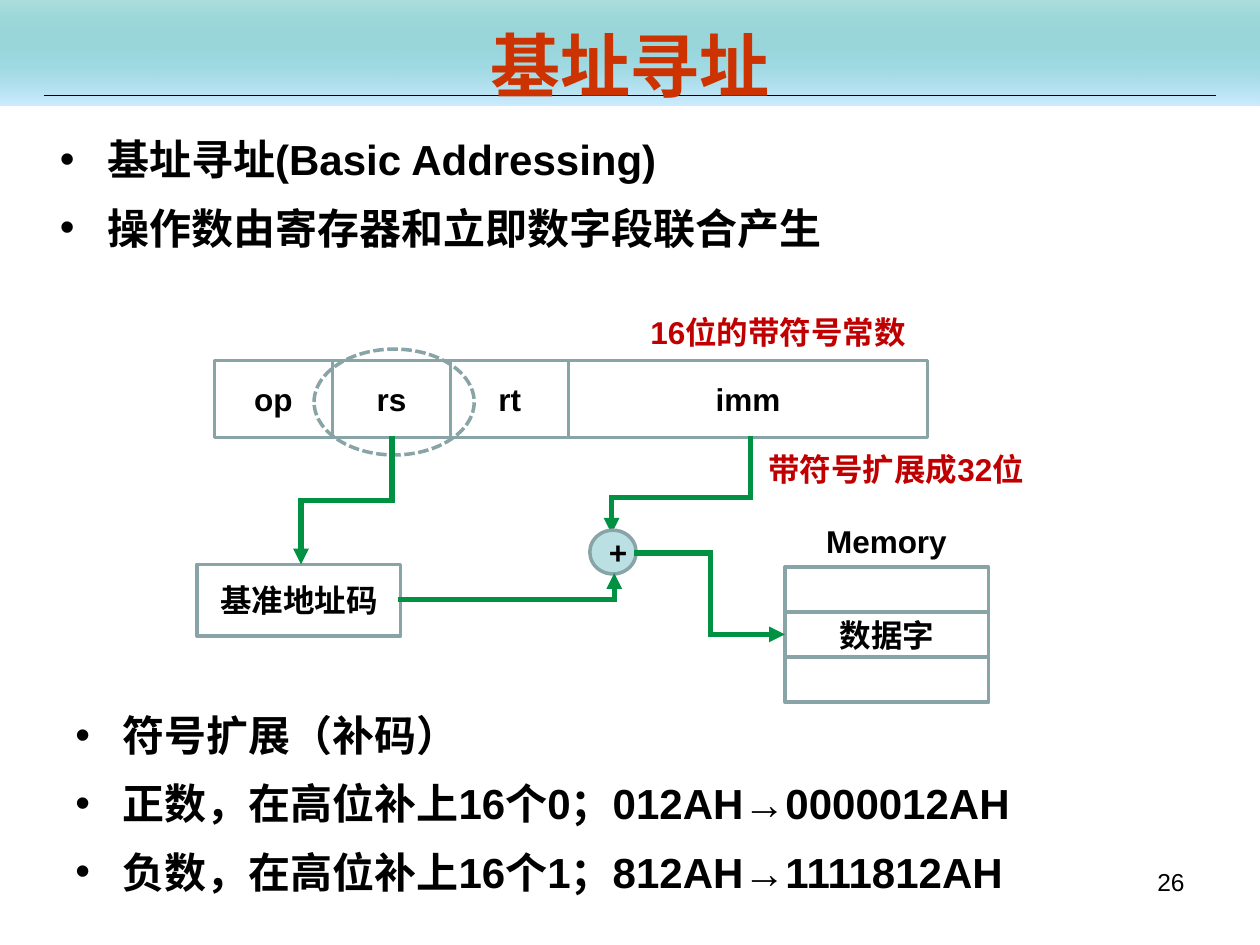
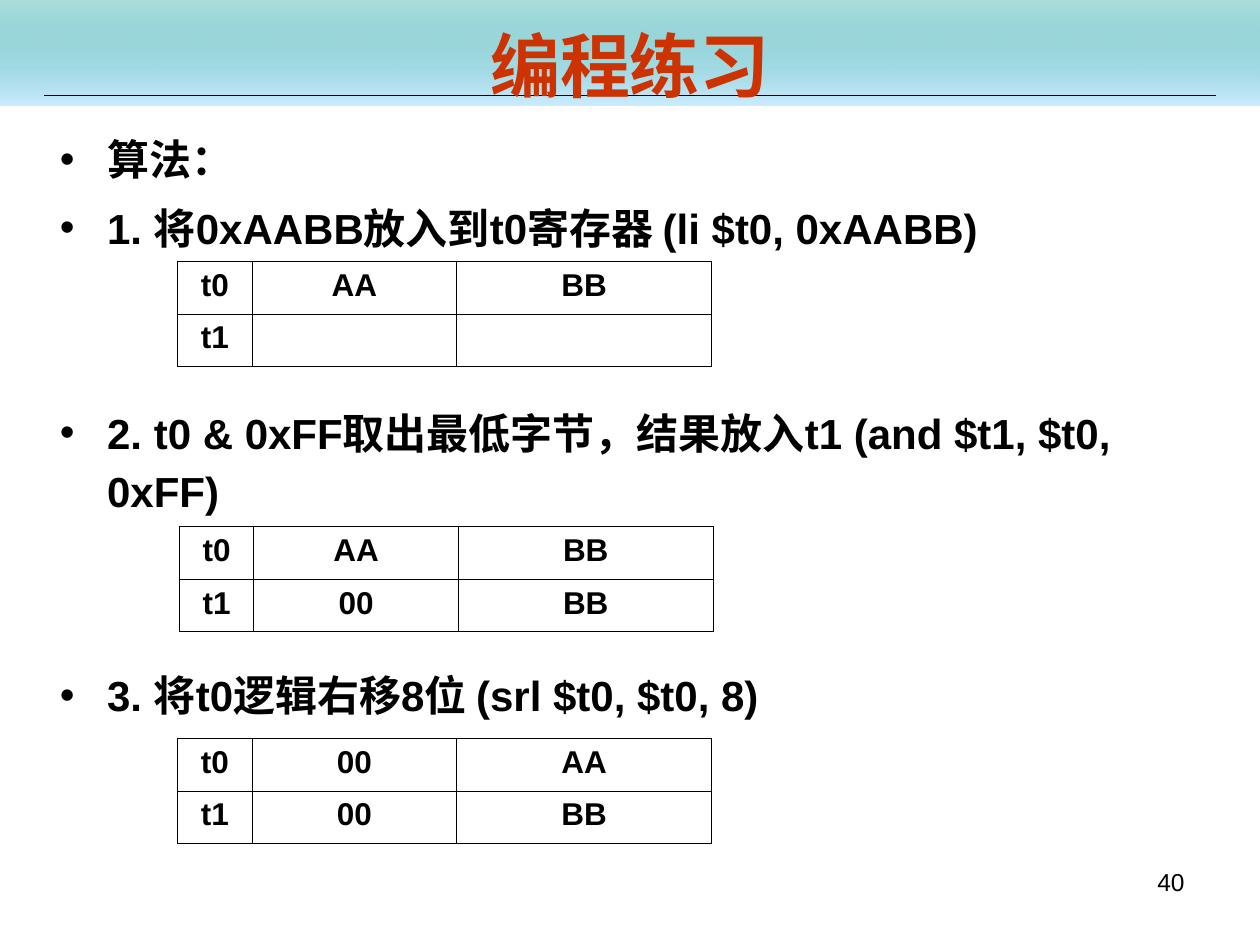
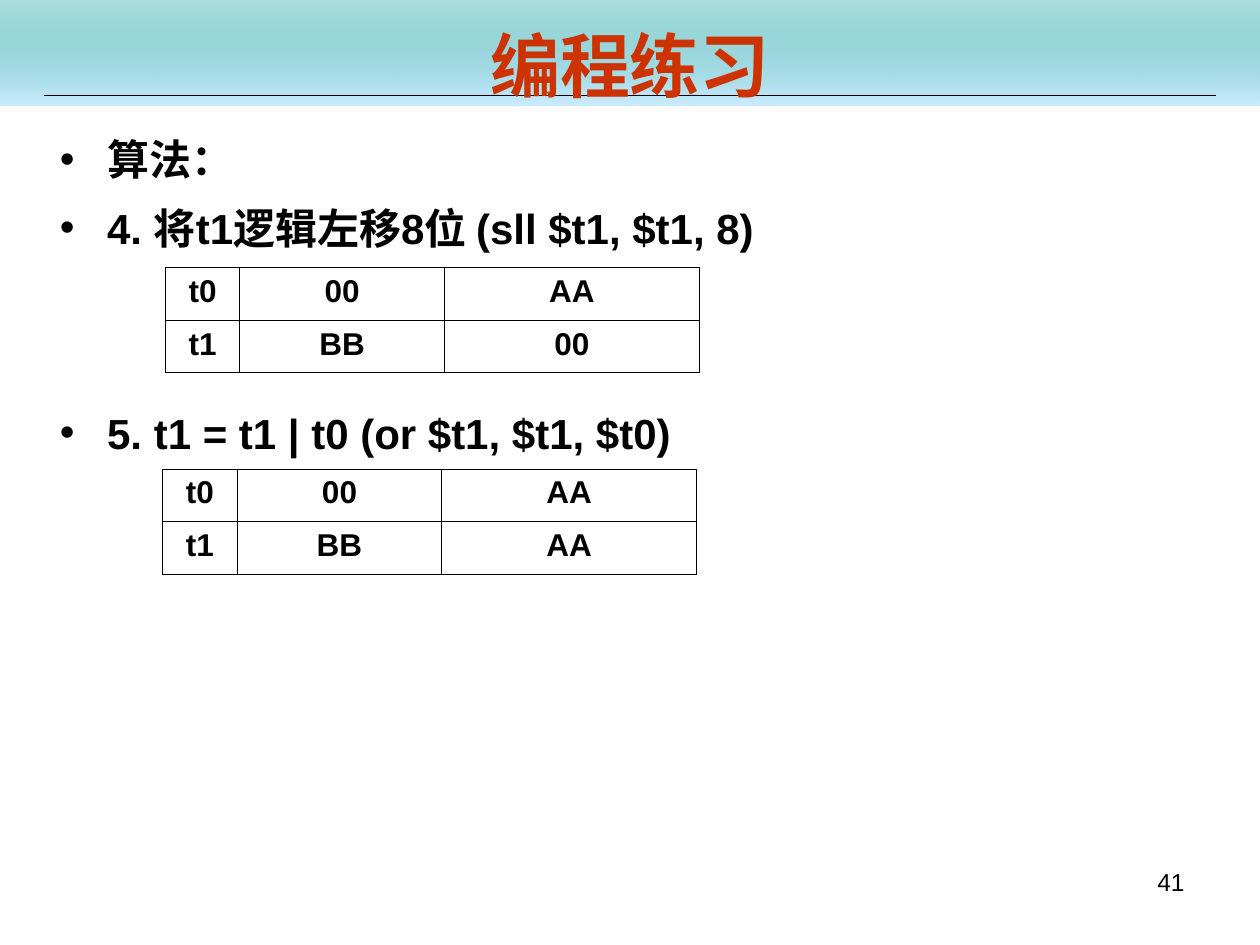
from itertools import pairwise

from pptx import Presentation
from pptx.dml.color import RGBColor
from pptx.enum.dml import MSO_LINE
from pptx.enum.shapes import MSO_CONNECTOR, MSO_SHAPE
from pptx.enum.text import MSO_ANCHOR, MSO_AUTO_SIZE, PP_ALIGN
from pptx.oxml.ns import qn
from pptx.util import Pt
from lxml.etree import SubElement

FONT = "Arial"
BLACK, TITLE_RED, NOTE_RED = "000000", "CC3300", "C00000"
OUTLINE, WIRE, ADDER = "89A4A7", "009242", "BBE0E3"
BAND_TOP, BAND_BOTTOM = "009999", "CCECFF"
LIST_GAP = 6
TABLE_GAP = 84  # space before an item that follows a table
COLUMNS, ROW_HEIGHT = (42.5, 117, 145.5), 30


def rgb(value):
    return RGBColor.from_string(value)


def place(sp, left, top, width, height):
    sp.left, sp.top, sp.width, sp.height = Pt(left), Pt(top), Pt(width), Pt(height)


def write(p, text, size=18, color=BLACK, bold=True, align=None):
    r = p.add_run()
    r.text = text
    r.font.name, r.font.size, r.font.bold = FONT, Pt(size), bold
    r.font.color.rgb = rgb(color)
    if align is not None:
        p.alignment = align


# Shapes, lines and text
def add_box(slide, left, top, width, height, text="", kind=MSO_SHAPE.RECTANGLE, fill=None):
    sp = slide.shapes.add_shape(kind, Pt(left), Pt(top), Pt(width), Pt(height))
    sp.shadow.inherit = False
    if fill:
        sp.fill.solid()
        sp.fill.fore_color.rgb = rgb(fill)
    else:
        sp.fill.background()
    sp.line.color.rgb = rgb(OUTLINE)
    sp.line.width = Pt(2)
    if text:
        write(sp.text_frame.paragraphs[0], text, align=PP_ALIGN.CENTER)
    return sp


def add_line(slide, start, end, color, width):
    line = slide.shapes.add_connector(
        MSO_CONNECTOR.STRAIGHT, *(Pt(v) for v in (*start, *end)))
    line.line.color.rgb = rgb(color)
    line.line.width = Pt(width)
    SubElement(line._element.spPr, qn("a:effectLst"))
    return line


def add_wire(slide, *points):
    """Joined straight segments; the last one ends in an arrowhead."""
    for start, end in pairwise(points):
        ln = add_line(slide, start, end, WIRE, 3).line._get_or_add_ln()
        if end == points[-1]:
            SubElement(ln, qn("a:tailEnd"), type="triangle")
        else:
            ln.set("cap", "sq")


def add_text_box(slide, left, top, width, height, wrap=True):
    sp = slide.shapes.add_textbox(Pt(left), Pt(top), Pt(width), Pt(height))
    sp.text_frame.word_wrap = wrap
    return sp.text_frame


def add_label(slide, left, top, width, text, color=BLACK):
    tf = add_text_box(slide, left, top, width, 29, wrap=False)
    tf.auto_size = MSO_AUTO_SIZE.SHAPE_TO_FIT_TEXT
    write(tf.paragraphs[0], text, color=color)


def fill_list(tf, items):
    """Bulleted list from (space before, text) pairs."""
    tf.auto_size = MSO_AUTO_SIZE.NONE
    for i, (gap, text) in enumerate(items):
        p = tf.paragraphs[0] if i == 0 else tf.add_paragraph()
        pPr = p._p.get_or_add_pPr()
        pPr.set("marL", str(Pt(27)))
        pPr.set("indent", str(-Pt(27)))
        SubElement(SubElement(pPr, qn("a:buClr")), qn("a:srgbClr"), val=BLACK)
        SubElement(pPr, qn("a:buFont"), typeface=FONT)
        SubElement(pPr, qn("a:buChar"), char="•")
        p.line_spacing = 1.15
        p.space_before = Pt(gap)
        write(p, text, 24)


def add_registers(slide, left, top, t0, t1):
    """Table with the two bytes of registers t0 and t1."""
    rows = (("t0", *t0), ("t1", *t1))
    table = slide.shapes.add_table(
        len(rows), len(COLUMNS), Pt(left), Pt(top),
        Pt(sum(COLUMNS)), Pt(ROW_HEIGHT * len(rows))).table
    table.first_row = table.horz_banding = False
    for col, width in zip(table.columns, COLUMNS):
        col.width = Pt(width)
    for row, values in zip(table.rows, rows):
        row.height = Pt(ROW_HEIGHT)
        for cell, value in zip(row.cells, values):
            tcPr = cell._tc.get_or_add_tcPr()
            for side in ("lnL", "lnR", "lnT", "lnB"):
                ln = SubElement(tcPr, qn(f"a:{side}"), w=str(Pt(0.45)))
                SubElement(SubElement(ln, qn("a:solidFill")), qn("a:srgbClr"), val=BLACK)
            cell.fill.background()
            if value:
                write(cell.text_frame.paragraphs[0], value, align=PP_ALIGN.CENTER)


# Parts shared by the slides
def decorate_layout(slide):
    """Draw the title band and its rule, then move them to the layout."""
    band = add_box(slide, 0, 0, 720, 60.5)
    band.line.fill.background()
    band.fill.gradient()
    band.fill.gradient_angle = 270
    for stop, color in zip(band.fill.gradient_stops, (BAND_TOP, BAND_BOTTOM)):
        stop.color.rgb = rgb(color)
    top_color = band._element.spPr.find(".//" + qn("a:srgbClr"))
    SubElement(top_color, qn("a:alpha"), val="32000")
    rule = add_line(slide, (25, 54.5), (695, 54.5), BLACK, 0.75)
    for i, sp in enumerate((band, rule)):
        sp._element.find(".//" + qn("p:cNvPr")).set("id", str(101 + i))
        slide.slide_layout.shapes._spTree.insert(2 + i, sp._element)


def add_slide(prs, title, number, items, body_height):
    slide = prs.slides.add_slide(prs.slide_layouts[1])
    if len(prs.slides) == 1:
        decorate_layout(slide)
    heading, body = slide.placeholders
    place(heading, 36, 15, 648, 44)
    heading.text_frame.auto_size = MSO_AUTO_SIZE.NONE
    heading.text_frame.vertical_anchor = MSO_ANCHOR.MIDDLE
    write(heading.text_frame.paragraphs[0], title, 40, TITLE_RED, align=PP_ALIGN.CENTER)
    place(body, 27, 68.5, 648, body_height)
    fill_list(body.text_frame, items)
    tf = add_text_box(slide, 516, 492, 168, 37.5)
    write(tf.paragraphs[0], number, 14, bold=False, align=PP_ALIGN.RIGHT)
    return slide


# Slides
def base_addressing(prs):
    slide = add_slide(prs, "基址寻址", "26", [
        (0, "基址寻址(Basic Addressing)"),
        (LIST_GAP, "操作数由寄存器和立即数字段联合产生"),
    ], 84)

    # Instruction fields
    left = 122.5
    for name, width in (("op", 67.5), ("rs", 67.5), ("rt", 67.5), ("imm", 205)):
        add_box(slide, left, 206, width, 44, name)
        left += width
    ring = add_box(slide, 179.5, 199.5, 91.5, 60.5, kind=MSO_SHAPE.OVAL)
    ring.line.dash_style = MSO_LINE.SQUARE_DOT

    # Base register and memory
    add_box(slide, 112.5, 322.5, 116.5, 41, "基准地址码")
    for i, word in enumerate(("", "数据字", "")):
        add_box(slide, 448.5, 324 + 25.75 * i, 116.5, 25.75, word)

    # Data path
    add_wire(slide, (224, 250.5), (224, 286), (172, 286), (172, 322.5))
    add_wire(slide, (429, 250.5), (429, 284.5), (349.5, 284.5), (349.5, 305))
    add_box(slide, 337, 303, 26.5, 25, "+", MSO_SHAPE.FLOWCHART_CONNECTOR, ADDER)
    add_wire(slide, (229, 342.5), (351, 342.5), (351, 327.5))
    add_wire(slide, (364, 316), (406, 316), (406, 362.5), (448.5, 362.5))

    # Labels
    add_label(slide, 465, 294.5, 83.5, "Memory")
    add_label(slide, 364.5, 175.5, 165, "16位的带符号常数", NOTE_RED)
    add_label(slide, 432, 253.5, 169, "带符号扩展成32位", NOTE_RED)

    fill_list(add_text_box(slide, 36, 397.5, 648, 134), [
        (0, "符号扩展（补码）"),
        (LIST_GAP, "正数，在高位补上16个0；012AH→0000012AH"),
        (LIST_GAP, "负数，在高位补上16个1；812AH→1111812AH"),
    ])


def exercise_steps_1_to_3(prs):
    slide = add_slide(prs, "编程练习", "40", [
        (0, "算法："),
        (LIST_GAP, "1. 将0xAABB放入到t0寄存器 (li $t0, 0xAABB)"),
        (TABLE_GAP, "2. t0 & 0xFF取出最低字节，结果放入t1 (and $t1, $t0, 0xFF)"),
        (TABLE_GAP, "3. 将t0逻辑右移8位 (srl $t0, $t0, 8)"),
    ], 410.5)
    add_registers(slide, 101.5, 149.5, ("AA", "BB"), ("", ""))
    add_registers(slide, 102.5, 301, ("AA", "BB"), ("00", "BB"))
    add_registers(slide, 101.5, 422, ("00", "AA"), ("00", "BB"))


def exercise_steps_4_to_5(prs):
    slide = add_slide(prs, "编程练习", "41", [
        (0, "算法："),
        (LIST_GAP, "4. 将t1逻辑左移8位 (sll $t1, $t1, 8)"),
        (TABLE_GAP, "5. t1 = t1 | t0 (or $t1, $t1, $t0)"),
    ], 410.5)
    add_registers(slide, 94.5, 153, ("00", "AA"), ("BB", "00"))
    add_registers(slide, 93, 268, ("00", "AA"), ("BB", "AA"))


def main():
    prs = Presentation()
    prs.slide_width, prs.slide_height = Pt(720), Pt(540)
    base_addressing(prs)
    exercise_steps_1_to_3(prs)
    exercise_steps_4_to_5(prs)
    prs.save("out.pptx")


if __name__ == "__main__":
    main()
